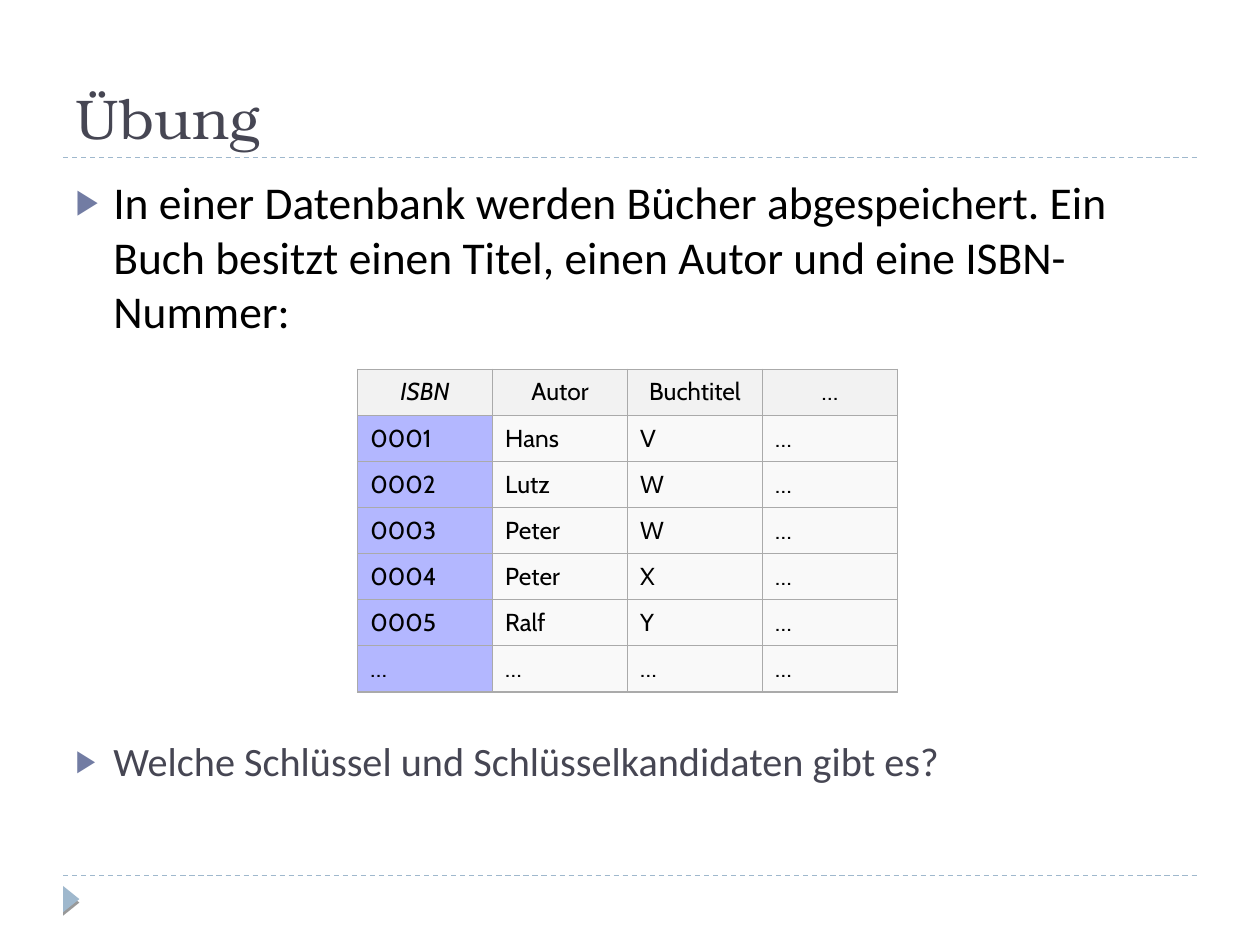
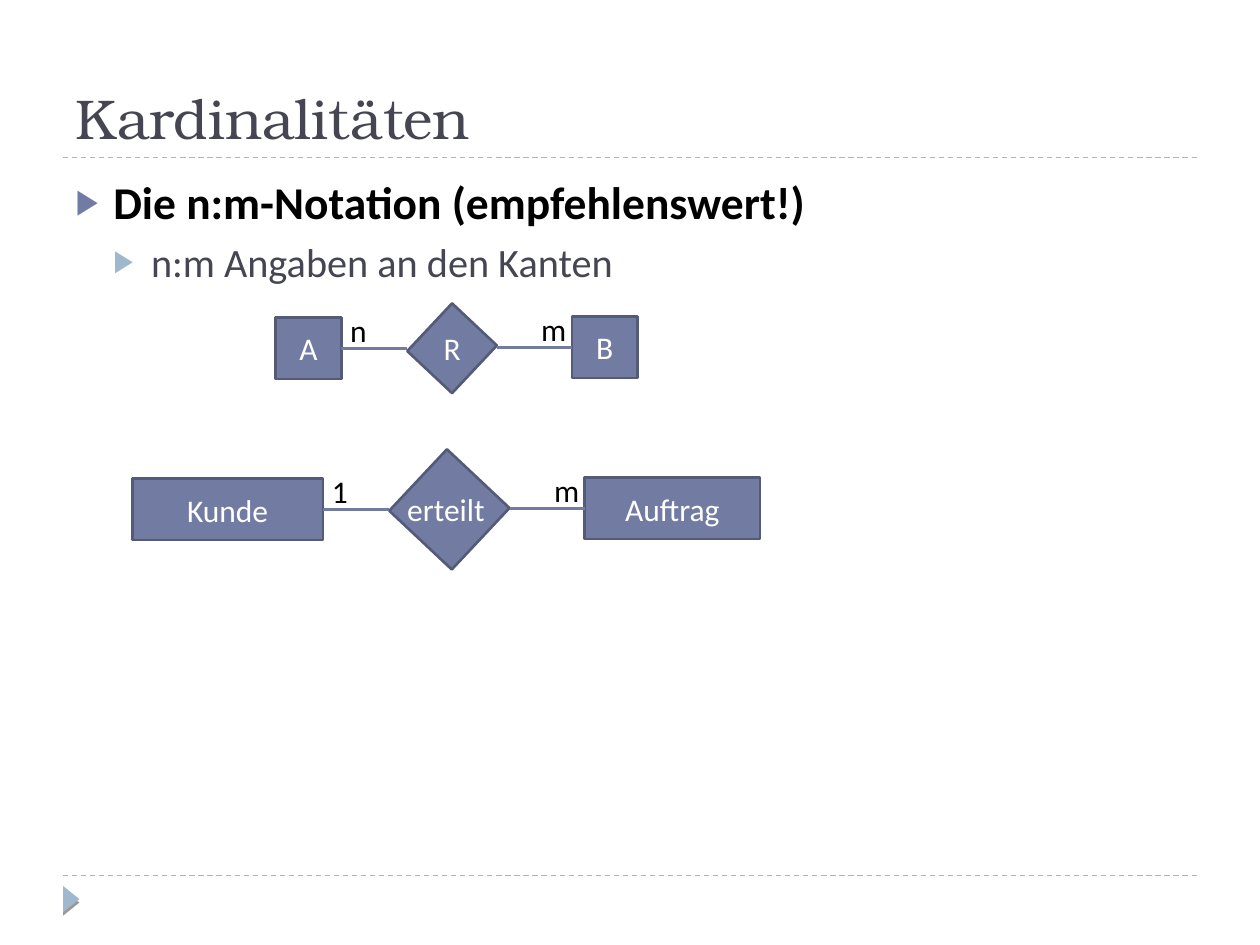
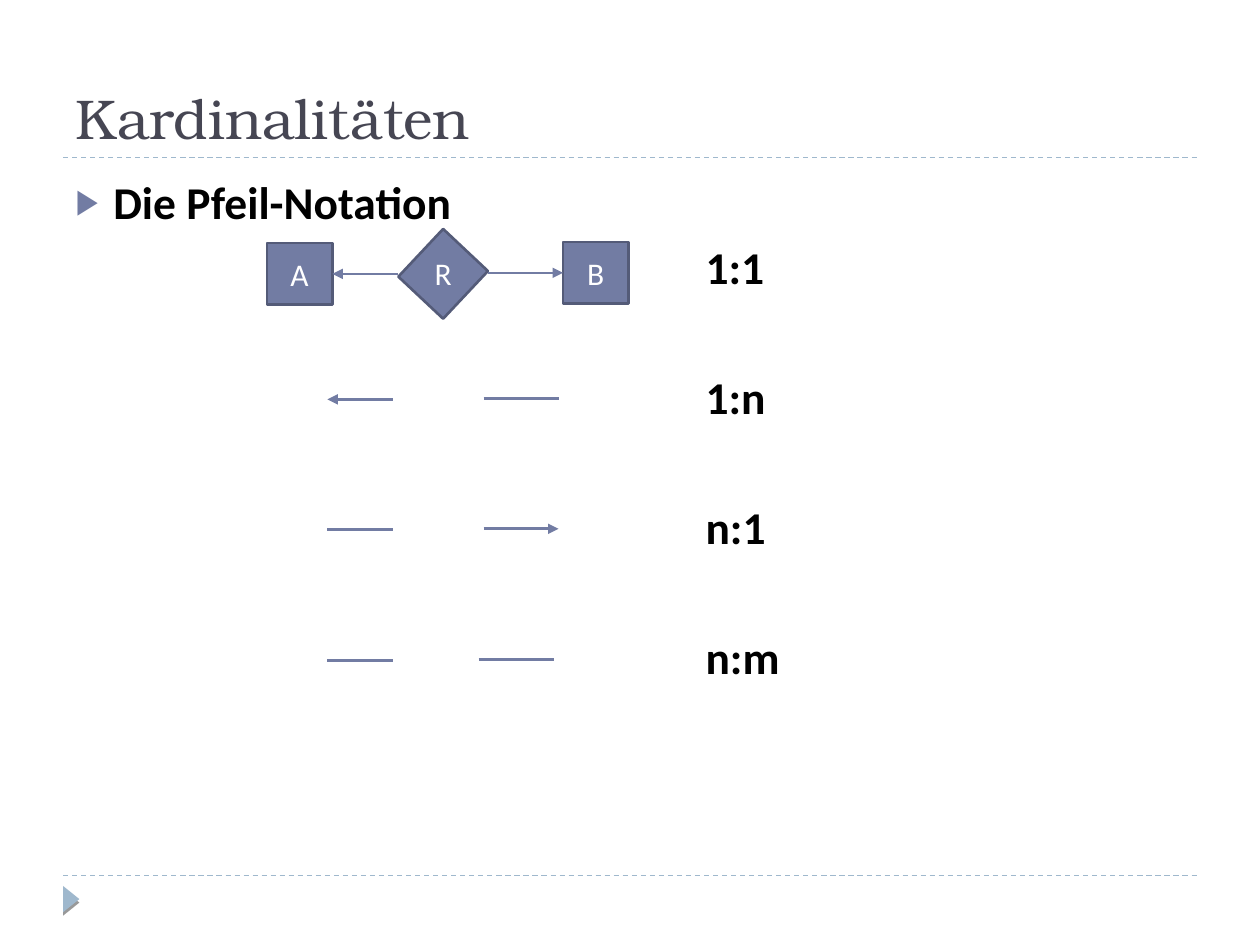
from dataclasses import dataclass
from typing import Optional

import pptx
import pptx.dml.color
import pptx.enum.dml
import pptx.enum.shapes
import pptx.enum.text
import pptx.oxml
import pptx.oxml.ns
import pptx.util
from lxml import etree
from pptx.util import Cm, Pt

TITLE_FONT, TEXT_FONT, TABLE_FONT = "TeX Gyre Bonum", "Calibri", "Cabin"
BLACK, WHITE, SLATE = "000000", "FFFFFF", "464653"
BLUE, DARK_BLUE, PALE_BLUE = "727CA3", "545B78", "9FB8CD"
HEADER_GREY, CELL_GREY, KEY_BLUE, GRID_GREY = "F2F2F2", "F9F9F9", "B3B7FF", "AAAAAA"

ENTITY_HEIGHT = 1.24
LABEL_HEIGHT = 1.02
LEFT_EDGE_LENGTH, RIGHT_EDGE_LENGTH = 1.33, 1.51
DIAMOND_ROTATION = 313.2

BOOKS = [
    ["ISBN", "Autor", "Buchtitel", "…"],
    ["0001", "Hans", "V", "…"],
    ["0002", "Lutz", "W", "…"],
    ["0003", "Peter", "W", "…"],
    ["0004", "Peter", "X", "…"],
    ["0005", "Ralf", "Y", "…"],
    ["…", "…", "…", "…"],
]


@dataclass
class Item:
    """One paragraph of a slide's list; lengths in cm, spacing in points."""
    text: str
    size: int = 26
    color: str = BLACK
    bold: bool = False
    level: int = 0
    margin: float = 0.76
    space_before: float = 6
    bullet: Optional[str] = BLUE


@dataclass
class Entity:
    label: str
    left: float
    top: float
    width: float = 1.32


@dataclass
class Relation:
    """Two entities with a diamond between them; lengths in cm."""
    first: Entity
    second: Entity
    label: str
    label_width: float = 0.46
    label_offset: float = 0.38
    diamond_width: float = 1.32
    diamond_height: float = 1.24
    marks: tuple[str, ...] = ()
    arrows: bool = False


@dataclass
class EdgePair:
    """The two edges of a cardinality without its entities."""
    left_arrow: bool
    right_arrow: bool
    right_start: float = 9.75


def rgb(color: str) -> pptx.dml.color.RGBColor:
    return pptx.dml.color.RGBColor.from_string(color)


def add_xml(parent, tag: str, **attributes: str):
    return etree.SubElement(parent, pptx.oxml.ns.qn(tag), attributes)


def format_runs(paragraph, size: int, color: str, font: str = TEXT_FONT,
                bold: bool = False, italic: bool = False) -> None:
    for run in paragraph.runs:
        run.font.name = font
        run.font.size = Pt(size)
        run.font.color.rgb = rgb(color)
        run.font.bold = bold
        run.font.italic = italic


def place(shape, left: float, top: float, width: float, height: float) -> None:
    shape.left, shape.top = Cm(left), Cm(top)
    shape.width, shape.height = Cm(width), Cm(height)


def add_line(slide, start: tuple[float, float], end: tuple[float, float],
             color: str = BLUE, width: float = 1.5, dashed: bool = False,
             head: bool = False, tail: bool = False):
    line = slide.shapes.add_connector(
        pptx.enum.shapes.MSO_CONNECTOR.STRAIGHT,
        Cm(start[0]), Cm(start[1]), Cm(end[0]), Cm(end[1]))
    line.line.color.rgb = rgb(color)
    line.line.width = Pt(width)
    if dashed:
        line.line.dash_style = pptx.enum.dml.MSO_LINE.DASH
    properties = line.element.spPr
    outline = properties.find(pptx.oxml.ns.qn("a:ln"))
    if head:
        add_xml(outline, "a:headEnd", type="triangle")
    if tail:
        add_xml(outline, "a:tailEnd", type="triangle")
    add_xml(properties, "a:effectLst")
    return line


def add_box(slide, left: float, top: float, width: float, height: float):
    box = slide.shapes.add_shape(pptx.enum.shapes.MSO_SHAPE.RECTANGLE,
                                 Cm(left), Cm(top), Cm(width), Cm(height))
    box.shadow.inherit = False
    box.fill.solid()
    box.fill.fore_color.rgb = rgb(BLUE)
    box.line.color.rgb = rgb(DARK_BLUE)
    box.line.width = Pt(1.5)
    return box


def add_entity(slide, entity: Entity):
    box = add_box(slide, entity.left, entity.top, entity.width, ENTITY_HEIGHT)
    frame = box.text_frame
    frame.text = entity.label
    frame.vertical_anchor = pptx.enum.text.MSO_ANCHOR.MIDDLE
    frame.paragraphs[0].alignment = pptx.enum.text.PP_ALIGN.CENTER
    format_runs(frame.paragraphs[0], 18, WHITE)
    return box


def add_label(slide, text: str, left: float, top: float,
              width: float = 0.48, color: str = BLACK) -> None:
    label = slide.shapes.add_textbox(Cm(left), Cm(top), Cm(width), Cm(LABEL_HEIGHT))
    frame = label.text_frame
    frame.word_wrap = True
    frame.auto_size = pptx.enum.text.MSO_AUTO_SIZE.SHAPE_TO_FIT_TEXT
    frame.text = text
    format_runs(frame.paragraphs[0], 18, color)


def add_relation(slide, relation: Relation) -> None:
    first, second = relation.first, relation.second
    first_right = first.left + first.width
    left_tip = first_right + LEFT_EDGE_LENGTH
    right_tip = second.left - RIGHT_EDGE_LENGTH
    center = (left_tip + right_tip) / 2
    first_middle = first.top + ENTITY_HEIGHT / 2
    second_middle = second.top + ENTITY_HEIGHT / 2

    first_box = add_entity(slide, first)
    diamond = add_box(slide, center - relation.diamond_width / 2,
                      first_middle - relation.diamond_height / 2,
                      relation.diamond_width, relation.diamond_height)
    diamond.rotation = DIAMOND_ROTATION
    add_label(slide, relation.label, center - relation.label_offset,
              first.top + 0.1, relation.label_width, WHITE)
    second_box = add_entity(slide, second)

    left_edge = add_line(slide, (first_right, first_middle),
                         (left_tip, first_middle), head=relation.arrows)
    left_edge.begin_connect(first_box, 3)
    right_edge = add_line(slide, (right_tip, second_middle),
                          (second.left, second_middle), tail=relation.arrows)
    right_edge.end_connect(second_box, 1)

    if relation.marks:
        first_mark, second_mark = relation.marks
        add_label(slide, first_mark, first_right - 0.05, first.top - 0.25)
        add_label(slide, second_mark, second.left - 0.85, second.top - 0.25)


def add_frame(slide) -> None:
    """Draw the dashed rules and the footer triangle that every slide has."""
    for y in (17.65, 3.17):
        add_line(slide, (1.27, y), (24.13, y), PALE_BLUE, 0.75, dashed=True)
    marker = slide.shapes.add_shape(pptx.enum.shapes.MSO_SHAPE.ISOSCELES_TRIANGLE,
                                    Cm(1.17), Cm(17.96), Cm(0.53), Cm(0.33))
    marker.rotation = 90
    marker.fill.solid()
    marker.fill.fore_color.rgb = rgb(PALE_BLUE)
    marker.line.fill.background()
    marker.shadow.inherit = False
    effects = marker.element.spPr.find(pptx.oxml.ns.qn("a:effectLst"))
    shadow = add_xml(effects, "a:outerShdw", blurRad="0", dist="25400",
                     dir="5400000", rotWithShape="0")
    add_xml(add_xml(shadow, "a:srgbClr", val=BLACK), "a:alpha", val="40000")


def write_item(paragraph, item: Item) -> None:
    paragraph.text = item.text
    paragraph.level = item.level
    paragraph.space_before = Pt(item.space_before)
    format_runs(paragraph, item.size, item.color, bold=item.bold)
    properties = paragraph._p.get_or_add_pPr()
    properties.set("marL", str(Cm(item.margin)))
    properties.set("indent", str(Cm(-0.76) if item.bullet else 0))
    if item.bullet:
        add_xml(add_xml(properties, "a:buClr"), "a:srgbClr", val=item.bullet)
        add_xml(properties, "a:buSzPct", val="76000")
        add_xml(properties, "a:buChar", char="▶")
    else:
        add_xml(properties, "a:buNone")


def new_slide(presentation, heading: str, items: list[Item]):
    slide = presentation.slides.add_slide(presentation.slide_layouts[1])
    add_frame(slide)

    title = slide.shapes.title
    place(title, 1.27, 0.43, 22.86, 2.74)
    title.text_frame.text = heading
    title.text_frame.auto_size = pptx.enum.text.MSO_AUTO_SIZE.NONE
    title.text_frame.vertical_anchor = pptx.enum.text.MSO_ANCHOR.BOTTOM
    title.text_frame.paragraphs[0].alignment = pptx.enum.text.PP_ALIGN.LEFT
    format_runs(title.text_frame.paragraphs[0], 32, SLATE, TITLE_FONT)

    body = slide.placeholders[1]
    place(body, 1.27, 3.38, 22.86, 13.72)
    frame = body.text_frame
    frame.auto_size = pptx.enum.text.MSO_AUTO_SIZE.NONE
    for index, item in enumerate(items):
        write_item(frame.add_paragraph() if index else frame.paragraphs[0], item)
    return slide


def format_cell(cell, text: str, fill: str, header: bool, italic: bool) -> None:
    cell.text_frame.text = text
    cell.vertical_anchor = pptx.enum.text.MSO_ANCHOR.MIDDLE
    paragraph = cell.text_frame.paragraphs[0]
    if header:
        paragraph.alignment = pptx.enum.text.PP_ALIGN.CENTER
    format_runs(paragraph, 14, BLACK, TABLE_FONT, italic=italic)
    properties = cell._tc.get_or_add_tcPr()
    for side in ("a:lnL", "a:lnR", "a:lnT", "a:lnB"):
        border = add_xml(properties, side, w=str(Pt(0.75)))
        add_xml(add_xml(border, "a:solidFill"), "a:srgbClr", val=GRID_GREY)
    cell.fill.solid()
    cell.fill.fore_color.rgb = rgb(fill)


def add_book_table(slide) -> None:
    row_count, column_count = len(BOOKS), len(BOOKS[0])
    table = slide.shapes.add_table(
        row_count, column_count, Cm(7.21), Cm(7.44),
        Cm(2.72 * column_count), Cm(0.93 * row_count)).table
    table.first_row = table.horz_banding = False
    for column in table.columns:
        column.width = Cm(2.72)
    for r, book in enumerate(BOOKS):
        table.rows[r].height = Cm(0.93)
        for c, text in enumerate(book):
            fill = HEADER_GREY if r == 0 else KEY_BLUE if c == 0 else CELL_GREY
            format_cell(table.cell(r, c), text, fill, r == 0, r == c == 0)


def build_exercise(presentation) -> None:
    slide = new_slide(presentation, "Übung", [
        Item("In einer Datenbank werden Bücher abgespeichert. Ein Buch besitzt "
             "einen Titel, einen Autor und eine ISBN-Nummer:"),
        Item("Welche Schlüssel und Schlüsselkandidaten gibt es?", size=23,
             color=SLATE, level=1, space_before=228),
    ])
    add_book_table(slide)


def build_nm_notation(presentation) -> None:
    slide = new_slide(presentation, "Kardinalitäten", [
        Item("Die n:m-Notation (empfehlenswert!)", bold=True),
        Item("n:m Angaben an den Kanten", size=23, color=SLATE, level=1,
             margin=1.52, space_before=5, bullet=PALE_BLUE),
    ])
    add_relation(slide, Relation(Entity("A", 5.56, 6.4), Entity("B", 11.53, 6.38),
                                 "R", marks=("n", "m")))
    add_relation(slide, Relation(
        Entity("Kunde", 2.67, 9.65, 3.84), Entity("Auftrag", 11.79, 9.63, 3.53),
        "erteilt", label_width=2.24, label_offset=1.1,
        diamond_width=1.7, diamond_height=1.73, marks=("1", "m")))


def build_arrow_notation(presentation) -> None:
    cardinalities = [
        Item(text, bold=True, margin=12.7, bullet=None, space_before=43 if index else 6)
        for index, text in enumerate(("1:1", "1:n", "n:1", "n:m"))
    ]
    slide = new_slide(presentation, "Kardinalitäten",
                      [Item("Die Pfeil-Notation", bold=True), *cardinalities])
    add_relation(slide, Relation(Entity("A", 5.38, 4.9), Entity("B", 11.35, 4.88),
                                 "R", arrows=True))
    pairs = [EdgePair(True, False), EdgePair(False, True),
             EdgePair(False, False, right_start=9.65)]
    for index, pair in enumerate(pairs):
        y = 8.05 + 2.63 * index
        add_line(slide, (6.6, y), (7.92, y), head=pair.left_arrow)
        add_line(slide, (pair.right_start, y - 0.02),
                 (pair.right_start + 1.51, y - 0.02), tail=pair.right_arrow)


def main() -> None:
    presentation = pptx.Presentation()
    presentation.slide_width, presentation.slide_height = Cm(25.4), Cm(19.05)
    build_exercise(presentation)
    build_nm_notation(presentation)
    build_arrow_notation(presentation)
    presentation.save("out.pptx")


if __name__ == "__main__":
    main()
